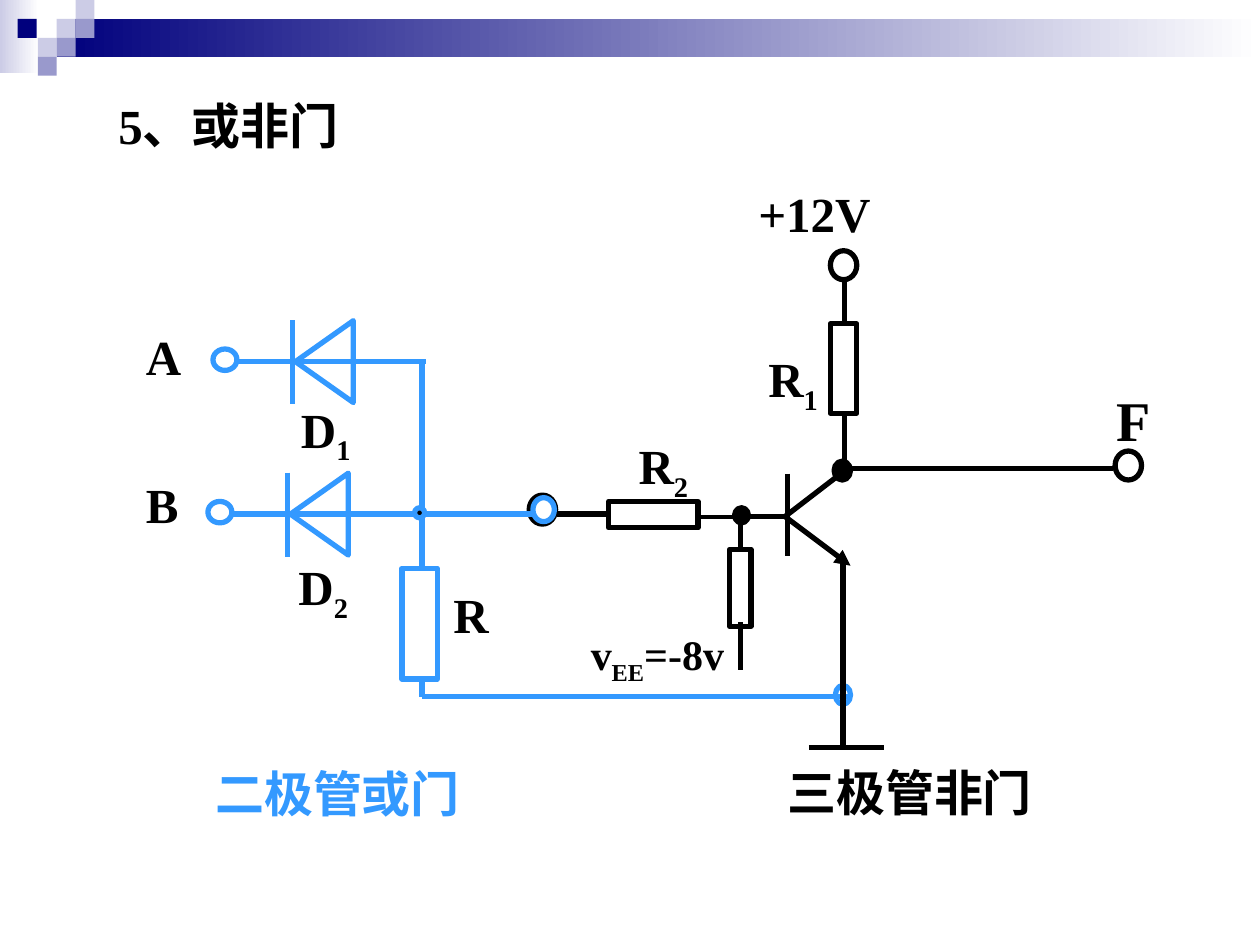
from typing import NamedTuple, Optional

from lxml import etree
from pptx import Presentation
from pptx.dml.color import RGBColor
from pptx.enum.shapes import MSO_CONNECTOR as Connector, MSO_SHAPE as Shape
from pptx.oxml.ns import qn
from pptx.util import Inches, Pt

COLORS = {
    "black": "000000",
    "blue": "3399FF",
    "navy": "00007D",
    "lilac": "CCCCE6",
    "violet": "9999CC",
    "white": "FFFFFF",
}
FONT = "Times New Roman"


class Wire(NamedTuple):
    x1: float
    y1: float
    x2: float
    y2: float
    color: str = "black"
    weight: float = 3
    arrow: bool = False


class Part(NamedTuple):
    kind: Shape
    left: float
    top: float
    width: float
    height: float
    line: Optional[str] = "black"
    fill: Optional[str] = None
    rotation: float = 0


class Label(NamedTuple):
    left: float
    top: float
    width: float
    height: float
    text: str
    subscript: str = ""
    rest: str = ""
    size: float = 28
    color: str = "black"


SQUARE = 0.15
HEADER_SQUARES = [
    (0.45, 0.15, "lilac"), (0.6, 0, "lilac"), (0.6, 0.15, "violet"),
    (0.3, 0.3, "lilac"), (0.14, 0.15, "navy"), (0.45, 0.3, "violet"),
    (0.3, 0.45, "violet"),
]

TRANSISTOR_STAGE = [
    Wire(6.25, 3.76, 6.25, 4.41),
    Wire(6.23, 4.1, 6.75, 4.49, arrow=True),
    Wire(6.23, 4.1, 6.75, 3.7),
    Part(Shape.OVAL, 6.62, 3.66, 0.13, 0.15, fill="black"),
    Wire(6.23, 4.1, 5.94, 4.1),
    Wire(6.69, 3.72, 8.83, 3.72),
    Wire(6.42, 5.93, 7.02, 5.93),
    Wire(4.83, 4.08, 4.42, 4.08),
    Part(Shape.OVAL, 4.2, 3.93, 0.21, 0.23),
    Part(Shape.OVAL, 8.85, 3.58, 0.21, 0.23),
    Part(Shape.RECTANGLE, 6.59, 2.57, 0.21, 0.71),
    Wire(6.7, 3.28, 6.7, 3.72),
    Wire(6.7, 2.57, 6.7, 2.22),
    Part(Shape.OVAL, 6.59, 1.99, 0.21, 0.23),
    Part(Shape.RECTANGLE, 5.08, 3.73, 0.21, 0.71, rotation=90),
]

DIODE_INPUTS = [(1.69, 2.87), (1.65, 4.08)]

DIODE_OUTPUT = [
    Wire(2.9, 4.08, 4.25, 4.08, "blue"),
    Wire(3.35, 4.51, 3.35, 2.86, "blue"),
    Part(Shape.RECTANGLE, 3.19, 4.51, 0.28, 0.88, "blue"),
    Wire(3.35, 5.53, 3.35, 5.37, "blue"),
    Part(Shape.OVAL, 3.29, 4.03, 0.08, 0.08, "blue", "black"),
    Part(Shape.OVAL, 4.23, 3.95, 0.17, 0.19, "blue"),
    Wire(3.35, 5.53, 6.73, 5.53, "blue"),
    Part(Shape.OVAL, 6.63, 5.44, 0.12, 0.15, "blue"),
]

EMITTER_AND_BIAS = [
    Wire(6.69, 4.43, 6.69, 5.93),
    Wire(5.96, 4.1, 5.54, 4.1, weight=2.25),
    Part(Shape.RECTANGLE, 5.79, 4.36, 0.17, 0.61),
    Wire(5.88, 4.03, 5.88, 4.35),
    Wire(5.88, 4.94, 5.88, 5.32),
    Part(Shape.OVAL, 5.83, 4.03, 0.11, 0.12, fill="black"),
]

LABELS = [
    Label(0.84, 0.71, 3.62, 0.57, "5、或非门"),
    Label(5.92, 1.41, 1.25, 0.57, "+12V"),
    Label(6, 2.72, 0.65, 0.63, "R", "1"),
    Label(4.97, 3.41, 0.65, 0.63, "R", "2"),
    Label(8.76, 3.01, 0.66, 0.64, "F", size=32),
    Label(2.29, 3.12, 0.69, 0.63, "D", "1"),
    Label(2.27, 4.37, 0.69, 0.63, "D", "2"),
    Label(1.06, 2.54, 0.6, 0.57, "A"),
    Label(1.06, 3.72, 0.6, 0.57, "B"),
    Label(3.5, 4.59, 0.63, 0.57, "R"),
    Label(4.59, 4.94, 1.68, 0.56, "v", "EE", "=-8v", size=24),
    Label(1.61, 6.01, 2.63, 0.57, "二极管或门", color="blue"),
    Label(6.15, 6, 2.67, 0.57, "三极管非门"),
]


def rgb(name: str) -> RGBColor:
    return RGBColor.from_string(COLORS[name])


def draw_wire(slide, wire: Wire) -> None:
    connector = slide.shapes.add_connector(
        Connector.STRAIGHT, Inches(wire.x1), Inches(wire.y1), Inches(wire.x2), Inches(wire.y2))
    connector.line.color.rgb = rgb(wire.color)
    connector.line.width = Pt(wire.weight)
    if wire.arrow:
        etree.SubElement(connector.line._get_or_add_ln(), qn("a:tailEnd"), type="triangle")
    etree.SubElement(connector._element.spPr, qn("a:effectLst"))


def draw_part(slide, part: Part):
    shape = slide.shapes.add_shape(
        part.kind, Inches(part.left), Inches(part.top), Inches(part.width), Inches(part.height))
    shape.shadow.inherit = False
    shape.rotation = part.rotation
    if part.fill:
        shape.fill.solid()
        shape.fill.fore_color.rgb = rgb(part.fill)
    else:
        shape.fill.background()
    if part.line:
        shape.line.color.rgb = rgb(part.line)
        shape.line.width = Pt(3)
    else:
        shape.line.fill.background()
    return shape


def draw_all(slide, items: list) -> None:
    for item in items:
        if isinstance(item, Wire):
            draw_wire(slide, item)
        else:
            draw_part(slide, item)


def draw_fading_band(slide, band: Part, start: str) -> None:
    fill = draw_part(slide, band).fill
    fill.gradient()
    fill.gradient_angle = 0
    for stop, color, position in zip(fill.gradient_stops, (start, "white"), (0, 1)):
        stop.color.rgb = rgb(color)
        stop.position = position


def draw_header(slide) -> None:
    draw_fading_band(slide, Part(Shape.RECTANGLE, 0, 0, 0.31, 0.58, None), "lilac")
    draw_fading_band(slide, Part(Shape.RECTANGLE, 0.45, 0.15, 9.55, 0.3, None), "navy")
    for left, top, color in HEADER_SQUARES:
        draw_part(slide, Part(Shape.RECTANGLE, left, top, SQUARE, SQUARE, None, color))


def draw_diode_input(slide, x: float, y: float) -> None:
    """Terminal ring at x, with its diode and lead along the height y."""
    draw_all(slide, [
        Wire(x + 0.63, y - 0.33, x + 0.63, y + 0.34, "blue"),
        Part(Shape.ISOSCELES_TRIANGLE, x + 0.56, y - 0.23, 0.65, 0.46, "blue", rotation=270),
        Wire(x + 0.19, y, x + 1.69, y, "blue"),
        Part(Shape.OVAL, x, y - 0.1, 0.19, 0.17, "blue"),
    ])


def draw_label(slide, label: Label) -> None:
    box = slide.shapes.add_textbox(
        Inches(label.left), Inches(label.top), Inches(label.width), Inches(label.height))
    box.text_frame.word_wrap = True
    paragraph = box.text_frame.paragraphs[0]
    for text in filter(None, (label.text, label.subscript, label.rest)):
        run = paragraph.add_run()
        run.text = text
        run.font.name = FONT
        run.font.size = Pt(label.size)
        run.font.bold = True
        run.font.color.rgb = rgb(label.color)
        if text == label.subscript:
            run._r.get_or_add_rPr().set("baseline", "-25000")


def main() -> None:
    deck = Presentation()
    deck.slide_width, deck.slide_height = Inches(10), Inches(7.5)
    slide = deck.slides.add_slide(deck.slide_layouts[6])
    draw_header(slide)
    draw_all(slide, TRANSISTOR_STAGE)
    for x, y in DIODE_INPUTS:
        draw_diode_input(slide, x, y)
    draw_all(slide, DIODE_OUTPUT + EMITTER_AND_BIAS)
    for label in LABELS:
        draw_label(slide, label)
    deck.save("out.pptx")


if __name__ == "__main__":
    main()
